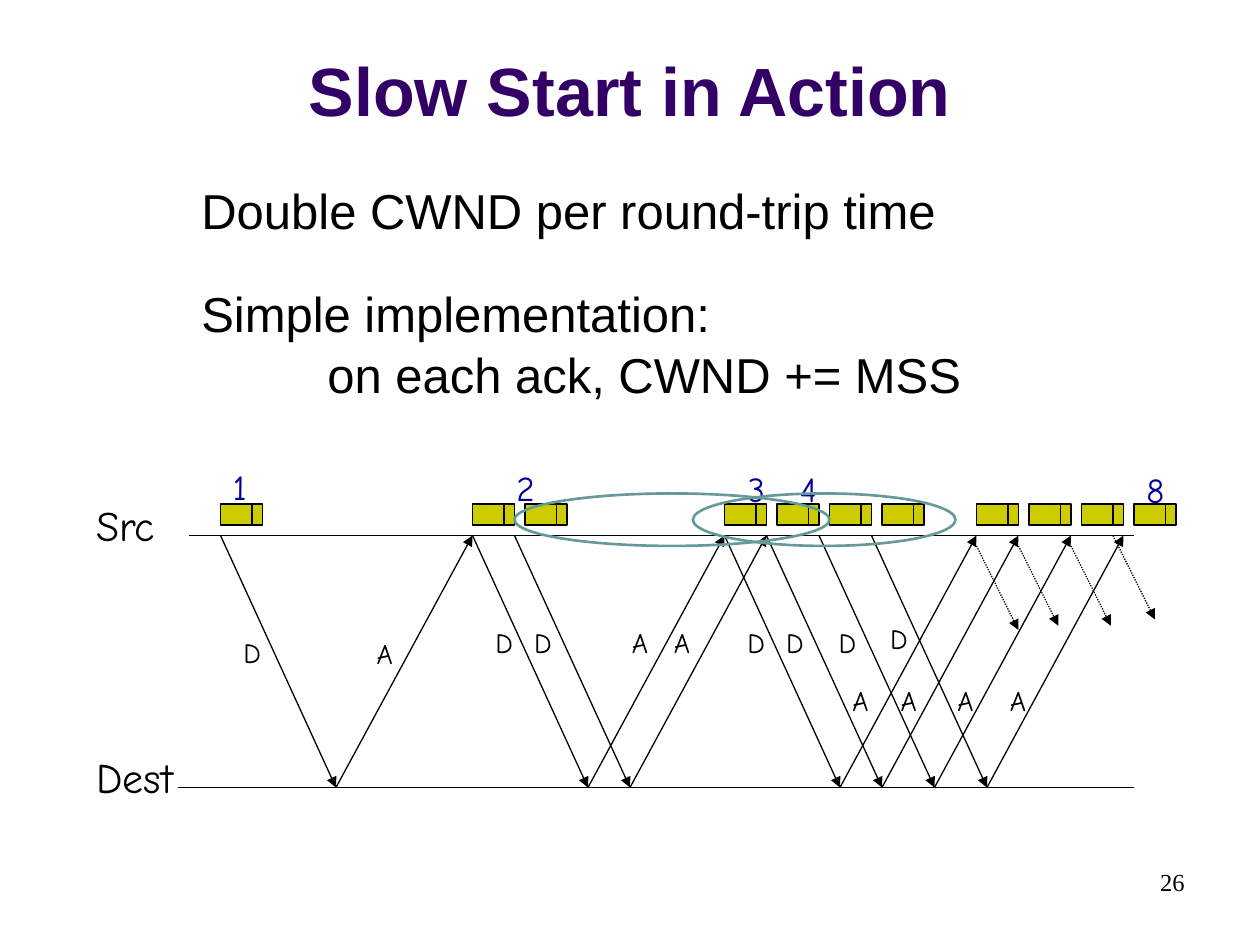
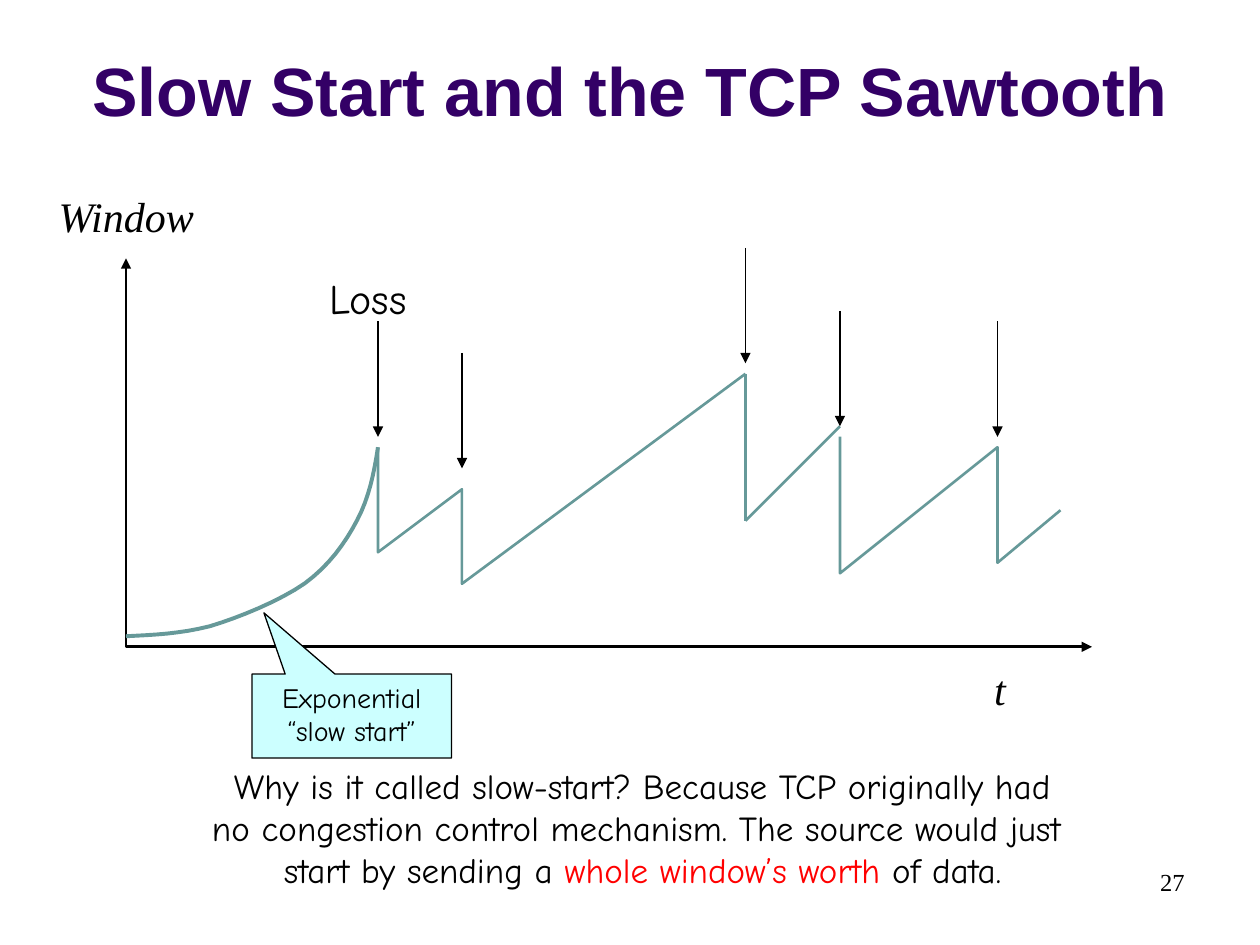
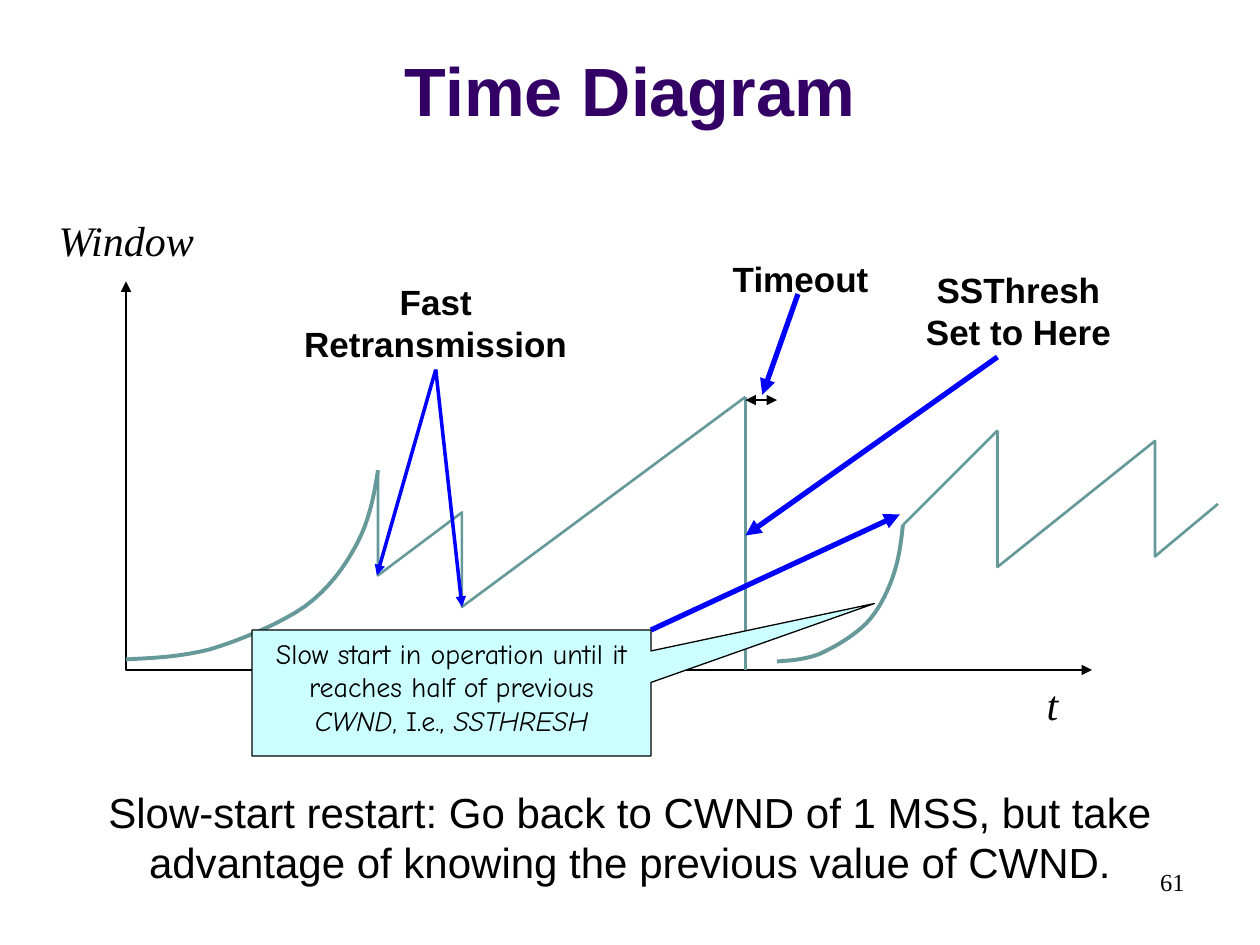
import dataclasses

import lxml.etree
import pptx
import pptx.dml.color
import pptx.enum.dml
import pptx.enum.shapes
import pptx.enum.text
import pptx.oxml.ns
import pptx.util

# The grid has twelve cells to the inch, 120 columns by 90 rows.
CELL = pptx.util.Inches(1) // 12
COLUMNS, ROWS = 120, 90

COLORS = {
    "title": "330066", "ink": "000000", "count": "000099", "packet": "CCCC00",
    "curve": "669999", "callout": "CCFFFF", "pointer": "0000FF", "alert": "FF0000",
}
STYLES = {
    "title": {"name": "Arial", "size": 39, "bold": True, "color": "title"},
    "number": {"name": "Times New Roman", "size": 14},
    "axis": {"name": "Times New Roman", "size": 24, "italic": True},
    "body": {"name": "Arial", "size": 28},
    "summary": {"name": "Arial", "size": 24},
    "event": {"name": "Arial", "size": 20, "bold": True},
    "host": {"name": "Comic Neue", "size": 24},
    "remark": {"name": "Comic Neue", "size": 20},
    "count": {"name": "Comic Neue", "size": 20, "color": "count"},
    "small": {"name": "Comic Neue", "size": 16},
}
LEFT, CENTER, RIGHT = (pptx.enum.text.PP_ALIGN.LEFT, pptx.enum.text.PP_ALIGN.CENTER,
                       pptx.enum.text.PP_ALIGN.RIGHT)
TOP, BOTTOM = pptx.enum.text.MSO_ANCHOR.TOP, pptx.enum.text.MSO_ANCHOR.BOTTOM
SHAPES = pptx.enum.shapes.MSO_SHAPE

# Slow-start curve in shares of its box: a start, then Bezier triples
CURVE_START = (1, 0)
CURVE_PARTS = [
    ((0.985, 0.133), (0.965, 0.267), (0.917, 0.387)),
    ((0.87, 0.507), (0.805, 0.627), (0.71, 0.72)),
    ((0.61, 0.813), (0.45, 0.9), (0.333, 0.947)),
    ((0.215, 0.987), (0.11, 0.993), (0, 1)),
]


@dataclasses.dataclass
class Box:
    left: float
    top: float
    width: float
    height: float

    def point(self, column, row):
        return round((self.left + column) * CELL), round((self.top + row) * CELL)

    def area(self, column, row, width, height):
        return (*self.point(column, row), round(width * CELL), round(height * CELL))


SLIDE = Box(0, 0, COLUMNS, ROWS)


def rgb(color):
    return pptx.dml.color.RGBColor.from_string(COLORS[color])


# Text
def set_font(font, style):
    formats = {"color": "ink", **style}
    font.color.rgb = rgb(formats.pop("color"))
    formats["size"] = pptx.util.Pt(formats["size"])
    for name, value in formats.items():
        setattr(font, name, value)


def write(frame, paragraphs, style, align=LEFT, anchor=TOP, wrap=True):
    """Each paragraph is a string or a list of spans (text, style changes)."""
    for name, value in {"word_wrap": wrap, "vertical_anchor": anchor,
                        "auto_size": pptx.enum.text.MSO_AUTO_SIZE.NONE}.items():
        setattr(frame, name, value)
    for index, spans in enumerate(paragraphs):
        para = frame.paragraphs[0] if index == 0 else frame.add_paragraph()
        para.alignment = align
        for text, changes in [(spans, {})] if isinstance(spans, str) else spans:
            for number, line in enumerate(text.split("\n")):
                if number:
                    para.add_line_break()
                span = para.add_run()
                span.text = line
                set_font(span.font, {**STYLES[style], **changes})


def add_text(page, area, paragraphs, style, **layout):
    frame = page.shapes.add_textbox(*area).text_frame
    write(frame, paragraphs, style, **layout)
    return frame


def add_label(page, box, column, row, size, text, style):
    add_text(page, box.area(column, row, *size), [text], style, wrap=False)


# Lines and shapes
def set_line(shape, color, width, heads=()):
    shape.line.color.rgb = rgb(color)
    shape.line.width = pptx.util.Pt(width)
    outline = shape._element.spPr.find(pptx.oxml.ns.qn("a:ln"))
    for end in heads:
        lxml.etree.SubElement(outline, pptx.oxml.ns.qn(f"a:{end}"), type="triangle")


def add_line(page, box, start, end, color="ink", width=0.75, heads=(), dotted=False):
    line = page.shapes.add_connector(
        pptx.enum.shapes.MSO_CONNECTOR.STRAIGHT, *box.point(*start), *box.point(*end))
    lxml.etree.SubElement(line._element.spPr, pptx.oxml.ns.qn("a:effectLst"))
    if dotted:
        line.line.dash_style = pptx.enum.dml.MSO_LINE.ROUND_DOT
    set_line(line, color, width, heads)


def add_arrow(page, box, start, end, **look):
    add_line(page, box, start, end, heads=["tailEnd"], **look)


def add_outline(page, box, points, color="curve", width=1.5, heads=()):
    first, *others = [box.point(*point) for point in points]
    builder = page.shapes.build_freeform(*first)
    builder.add_line_segments(others, close=False)
    shape = builder.convert_to_shape()
    shape.shadow.inherit = False
    shape.fill.background()
    set_line(shape, color, width, heads)


def add_shape(page, kind, area, fill=None, color="ink", width=0.75):
    shape = page.shapes.add_shape(kind, *area)
    shape.shadow.inherit = False
    if fill:
        shape.fill.solid()
        shape.fill.fore_color.rgb = rgb(fill)
    else:
        shape.fill.background()
    set_line(shape, color, width)
    return shape


def add_callout(page, area, tip, paragraphs):
    callout = add_shape(page, SHAPES.RECTANGULAR_CALLOUT, area, "callout")
    for index, value in enumerate(tip):
        callout.adjustments[index] = value
    write(callout.text_frame, paragraphs, "small", align=CENTER)


# Shared slide frame: title and page number
def add_page(deck, title, number):
    page = deck.slides.add_slide(deck.slide_layouts[5])
    holder = page.shapes.title
    sides = ("left", "top", "width", "height")
    for name, value in zip(sides, SLIDE.area(0, 1.6, COLUMNS, 11.4)):
        setattr(holder, name, value)
    write(holder.text_frame, [title], "title", align=CENTER, anchor=BOTTOM)
    add_text(page, SLIDE.area(86, 82, 28, 6), [str(number)], "number", align=RIGHT)
    return page


# Packet exchange between source and destination
def add_exchange(page, box):
    source, trip, round_trip = 3, 11, 24
    for name, row, start in (("Src", source, 0), ("Dest", box.height, -1)):
        add_line(page, box, (start, row), (box.width, row))
        add_label(page, box, -10, row - 4, (10, 6), name, "host")

    # Data goes down, and its acknowledgement comes back up
    for sent in (3, 27, 31, 51, 55, 60, 65):
        arrival = (sent + trip, box.height)
        add_arrow(page, box, (sent, source), arrival)
        add_arrow(page, box, arrival, (sent + round_trip, source))

    # Each round trip sends a burst of packets, five columns apart
    for burst, size in enumerate((1, 2, 4, 4)):
        for index in range(size):
            column = 3 + burst * round_trip + index * 5
            add_shape(page, SHAPES.RECTANGLE, box.area(column, 0, 4, 2), "packet")
            add_line(page, box, (column + 3, 0), (column + 3, 2))

    # Next data packets
    for column, row, width, height in ((75, 4, 4, 8), (79, 4, 3.8, 7.6),
                                       (84, 4, 3.8, 7.6), (88, 3, 4, 8)):
        add_arrow(page, box, (column, row), (column + width, row + height), dotted=True)

    # Labels of the arrows and the window sizes
    letters = {
        "D": [(4, 11.9), (28, 11), (31.7, 11), (52, 11), (55.7, 11), (60.7, 11),
              (65.6, 10.6)],
        "A": [(16.7, 12), (41, 11), (45, 11), (62, 16.5), (66.6, 16.5), (72, 16.5),
              (77, 16.5)],
    }
    for letter, places in letters.items():
        for column, row in places:
            add_label(page, box, column, row, (4.3, 4.4), letter, "small")
    for count, column, row in (("1", 3, -4.3), ("2", 30, -4.2), ("3", 52, -4.1),
                               ("4", 57, -4.1), ("8", 90, -4)):
        add_label(page, box, column, row, (4.4, 5.2), count, "count")

    # Rings around the packets
    for column, width in ((31, 30), (48, 25)):
        add_shape(page, SHAPES.OVAL, box.area(column, -1, width, 5),
                  color="curve", width=1.5)


# Parts of the window plots
def add_slow_start(page, box):
    points, start, steps = [CURVE_START], CURVE_START, 8
    for first, second, end in CURVE_PARTS:
        for step in range(1, steps + 1):
            t = step / steps
            weights = ((1 - t) ** 3, 3 * t * (1 - t) ** 2, 3 * t * t * (1 - t), t ** 3)
            controls = (start, first, second, end)
            points.append(tuple(sum(w * c[axis] for w, c in zip(weights, controls))
                                for axis in (0, 1)))
        start = end
    add_outline(page, box, [(x * box.width, y * box.height) for x, y in points],
                width=2.25)


def add_window_plot(page, box, drop_end, link, tail, time_label):
    """Axes, first slow start and teeth, the drop, and the later teeth."""
    add_outline(page, box, [(0, 0), (0, box.height), (box.width, box.height)], "ink",
                heads=["headEnd", "tailEnd"])
    add_label(page, box, -7.6, -7, (15.5, 6), "Window", "axis")
    add_label(page, box, *time_label, (3.5, 6), "t", "axis")
    add_slow_start(page, Box(box.left, box.top + 18, 24, 18))
    add_outline(page, box, [(24, 18), (24, 28), (32, 22), (32, 31), (59, 11)])
    add_line(page, box, (59, 11), (59, drop_end), "curve", 1.5)
    column, row = link
    add_line(page, box, link, (column + 9, row - 9), "curve", 1.5)
    column, row = tail
    add_outline(page, box, [(column + right, row + down) for right, down in
                            ((0, 0), (0, 13), (15, 1), (15, 12), (21, 7))])


# Slides
def build_action(deck):
    page = add_page(deck, "Slow Start in Action", 26)
    frame = add_text(page, SLIDE.area(18, 16.6, 83, 22), [
        "Double CWND per round-trip time",
        "Simple implementation:",
        "on each ack, CWND += MSS",
    ], "body")
    for para, space in zip(frame.paragraphs[1:], (25, 1.5)):
        para.space_before = pptx.util.Pt(space)
    frame.paragraphs[2]._p.get_or_add_pPr().set("marL", str(12 * CELL))
    add_exchange(page, Box(18, 48, 90, 27))


def build_sawtooth(deck):
    page = add_page(deck, "Slow Start and the TCP Sawtooth", 27)
    plot = Box(12, 24.6, 92, 37)
    add_window_plot(page, plot, drop_end=25, link=(59, 25), tail=(68, 17),
                    time_label=(81.5, 38))

    # Losses
    add_label(page, plot, 18.2, 0.8, (10.7, 6), "Loss", "host")
    for column, row in ((24, 6), (32, 9), (59, -1), (68, 5), (83, 6)):
        add_arrow(page, plot, (column, row), (column, row + 11))

    add_callout(page, plot.area(12, 39.6, 19, 8), (-0.44, -1.23),
                ["Exponential\n“slow start”"])
    add_text(page, SLIDE.area(16.2, 72.2, 90, 13.2), [
        "Why is it called slow-start? Because TCP originally had",
        [("no congestion control mechanism. The source would just \n"
          "start by sending a ", {}),
         ("whole window’s worth", {"color": "alert"}), (" of data.", {})],
    ], "remark", align=CENTER, wrap=False)


def build_time_diagram(deck):
    page = add_page(deck, "Time Diagram", 61)
    plot = Box(12, 26.8, 92, 37)
    add_window_plot(page, plot, drop_end=37, link=(74, 23.2), tail=(83, 14.2),
                    time_label=(86.5, 37.2))
    add_slow_start(page, Box(plot.left + 62, plot.top + 23.2, 12, 13))
    add_callout(page, plot.area(12, 33.2, 38, 12), (1.06, -0.71), [[
        ("Slow start in operation until it reaches half of previous ", {}),
        ("CWND", {"italic": True}), (", I.e., ", {}), ("SSTHRESH", {"italic": True}),
    ]])

    # Events and their pointers
    for area, paragraphs in (
            ((55, -2.9, 18.5, 5.2), ["Timeout"]),
            ((14, -0.7, 31, 9.2), ["Fast Retransmission"]),
            ((73, -1.8, 24, 9.2), ["SSThresh", "Set to Here"])):
        add_text(page, plot.area(*area), paragraphs, "event", align=CENTER)
    for start, end, width in (
            ((50, 33.2), (73.7, 22.2), 3), ((64, 1.2), (60.6, 10.8), 3),
            ((83, 7.2), (59, 24.2), 3), ((29.5, 8.4), (23.9, 28), 2),
            ((29.5, 8.4), (32, 31), 2)):
        add_arrow(page, plot, start, end, color="pointer", width=width)
    add_line(page, plot, (59, 11.3), (62, 11.3), heads=["headEnd", "tailEnd"])

    add_text(page, SLIDE.area(8.6, 74.3, 102.8, 10.8), [
        "Slow-start restart: Go back to CWND of 1 MSS, but take advantage of "
        "knowing the previous value of CWND."], "summary", align=CENTER)


def main():
    deck = pptx.Presentation()
    deck.slide_width, deck.slide_height = COLUMNS * CELL, ROWS * CELL
    build_action(deck)
    build_sawtooth(deck)
    build_time_diagram(deck)
    deck.save("out.pptx")


if __name__ == "__main__":
    main()
